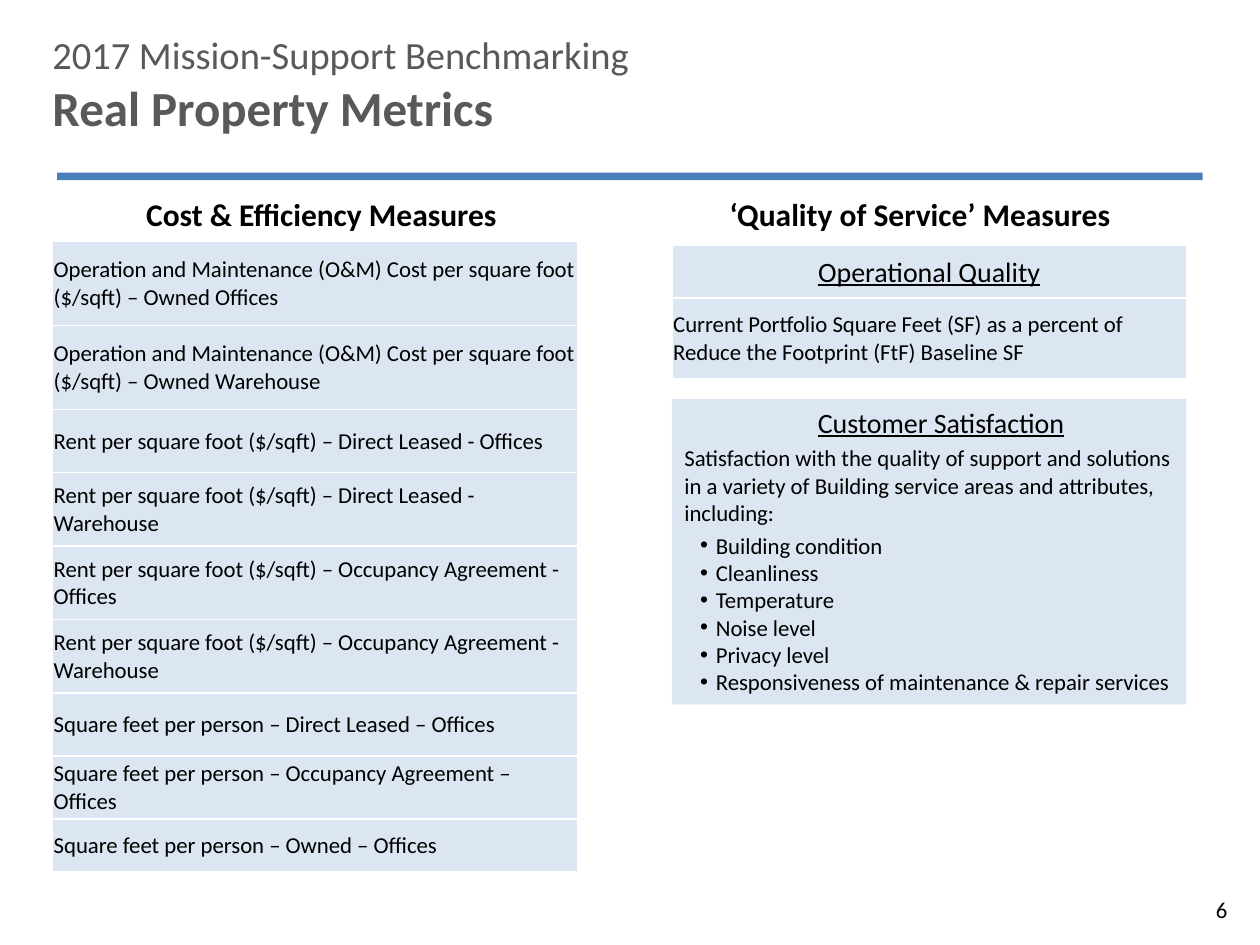
from lxml import etree
from pptx import Presentation
from pptx.dml.color import RGBColor
from pptx.enum import shapes, text
from pptx.oxml import parse_xml
from pptx.oxml.ns import nsdecls, qn
from pptx.util import Pt

PALE, BLUE, GREY, BLACK = "DCE6F2", "4A7EBB", "595959", "000000"


def style(para, size, color=BLACK, bold=False, underline=False,
          align=text.PP_ALIGN.LEFT, left=0, hanging=0, after=0):
    para.alignment = align
    para.space_before, para.space_after = Pt(0), Pt(after)
    props = para._p.get_or_add_pPr()
    props.set("marL", str(Pt(left)))
    props.set("indent", str(-Pt(hanging)))
    for span in para.runs:
        font = span.font
        font.name, font.size = "Calibri", Pt(size)
        font.bold, font.underline = bold, underline
        font.color.rgb = RGBColor.from_string(color)


def add_metric_table(left, top, width, rows):
    """Each row is (height, wording, is_heading)."""
    height = sum(row[0] for row in rows)
    table = page.shapes.add_table(len(rows), 1, Pt(left), Pt(top), Pt(width), Pt(height)).table
    table.first_row = table.horz_banding = False
    for index, (row_height, wording, is_heading) in enumerate(rows):
        table.rows[index].height = Pt(row_height)
        cell = table.cell(index, 0)
        cell.margin_left = cell.margin_right = cell.margin_top = Pt(0.7)
        cell.margin_bottom = Pt(0)
        cell.vertical_anchor = text.MSO_ANCHOR.MIDDLE
        cell.text_frame.text = wording
        style(cell.text_frame.paragraphs[0], 16 if is_heading else 13, underline=is_heading,
              align=CENTER if is_heading else text.PP_ALIGN.LEFT)
        for side in ("lnL", "lnR", "lnT", "lnB"):
            cell._tc.get_or_add_tcPr().append(parse_xml(
                f'<a:{side} {nsdecls("a")} w="{Pt(1)}"><a:solidFill>'
                f'<a:srgbClr val="FFFFFF"/></a:solidFill></a:{side}>'))
        cell.fill.solid()
        cell.fill.fore_color.rgb = RGBColor.from_string(PALE)


CENTER = text.PP_ALIGN.CENTER
deck = Presentation()
deck.slide_width, deck.slide_height = Pt(720), Pt(540)
page = deck.slides.add_slide(deck.slide_layouts[5])

# Title
title = page.shapes.title
title.left, title.top, title.width, title.height = Pt(30), Pt(18), Pt(690), Pt(66)
frame = title.text_frame
frame.margin_left = frame.margin_right = frame.margin_top = frame.margin_bottom = 0
frame.vertical_anchor = text.MSO_ANCHOR.TOP
frame.auto_size = text.MSO_AUTO_SIZE.NONE
frame.text = "2017 Mission-Support Benchmarking\nReal Property Metrics"
style(frame.paragraphs[0], 22, GREY)
style(frame.paragraphs[1], 28, GREY, bold=True)

# Rule under the title
rule = page.shapes.add_shape(shapes.MSO_SHAPE.RECTANGLE, Pt(32.7), Pt(98.6), Pt(654.5), Pt(4.4))
rule.shadow.inherit = False
rule.fill.solid()
rule.fill.fore_color.rgb = RGBColor.from_string(BLUE)
rule.line.fill.background()

# Column headings
for left, width, heading in ((48, 258, "Cost & Efficiency Measures"),
                             (348, 342, "‘Quality of Service’ Measures")):
    box = page.shapes.add_textbox(Pt(left), Pt(108), Pt(width), Pt(30))
    box.text_frame.word_wrap = True
    box.text_frame.text = heading
    style(box.text_frame.paragraphs[0], 18, bold=True, align=CENTER, left=13.5, after=3)

# Metric tables
add_metric_table(30, 138, 300, [
    (48, "Operation and Maintenance (O&M) Cost per square foot ($/sqft) – Owned Offices", False),
    (48, "Operation and Maintenance (O&M) Cost per square foot ($/sqft) – Owned Warehouse", False),
    (36, "Rent per square foot ($/sqft) – Direct Leased - Offices", False),
    (42, "Rent per square foot ($/sqft) – Direct Leased - Warehouse", False),
    (42, "Rent per square foot ($/sqft) – Occupancy Agreement - Offices", False),
    (42, "Rent per square foot ($/sqft) – Occupancy Agreement - Warehouse", False),
    (36, "Square feet per person – Direct Leased – Offices", False),
    (36, "Square feet per person – Occupancy Agreement – Offices", False),
    (30, "Square feet per person – Owned – Offices", False),
])
add_metric_table(384, 140.4, 294, [
    (30, "Operational Quality", True),
    (45.8, "Current Portfolio Square Feet (SF) as a percent of "
           "Reduce the Footprint (FtF) Baseline SF", False),
])

# Customer satisfaction panel
panel = page.shapes.add_shape(shapes.MSO_SHAPE.RECTANGLE, Pt(384), Pt(228), Pt(294), Pt(174.5))
panel.shadow.inherit = False
panel.fill.solid()
panel.fill.fore_color.rgb = RGBColor.from_string(PALE)
panel.line.fill.background()
frame = panel.text_frame
frame.word_wrap = True
frame.vertical_anchor = text.MSO_ANCHOR.TOP
frame.text = "\n".join([
    "Customer Satisfaction",
    "Satisfaction with the quality of support and solutions in a variety of "
    "Building service areas and attributes, including:",
    "Building condition", "Cleanliness", "Temperature", "Noise level", "Privacy level",
    "Responsiveness of maintenance & repair services",
])
heading, intro, *bullets = frame.paragraphs
style(heading, 16, underline=True, align=CENTER, left=13.5, after=3)
style(intro, 13, after=3)
for para in bullets:
    style(para, 13, left=18, hanging=9)
    props = para._p.get_or_add_pPr()
    etree.SubElement(props, qn("a:buFont")).set("typeface", "Arial")
    etree.SubElement(props, qn("a:buChar")).set("char", "•")

# Page number
box = page.shapes.add_textbox(Pt(687.6), Pt(512), Pt(32.4), Pt(16))
frame = box.text_frame
frame.margin_left = frame.margin_right = frame.margin_top = frame.margin_bottom = 0
frame.word_wrap = True
frame.text = "6"
style(frame.paragraphs[0], 13, left=7.2)

deck.save("out.pptx")
